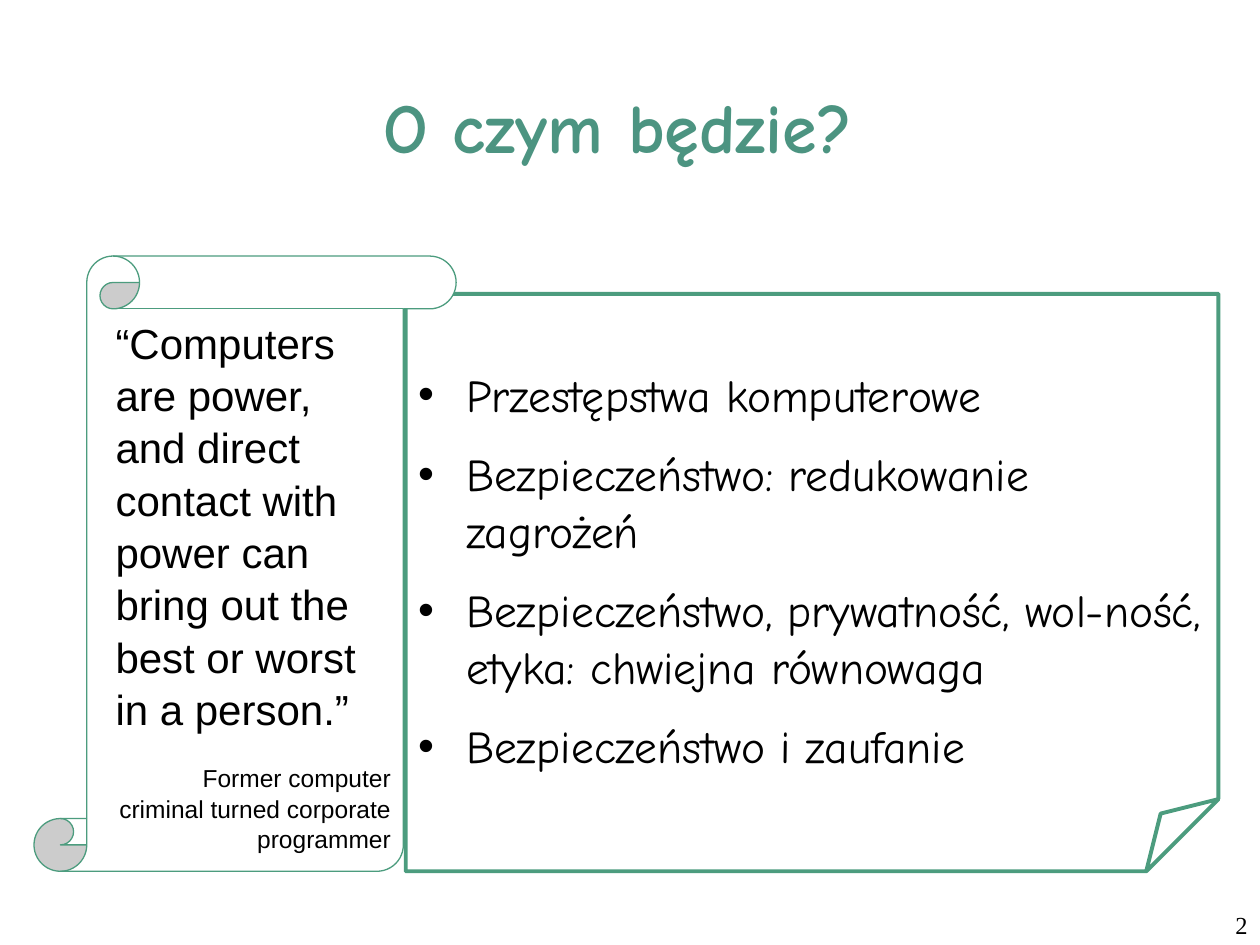
from typing import NamedTuple, Optional

from lxml.etree import SubElement
from pptx import Presentation
from pptx.dml.color import RGBColor
from pptx.enum.shapes import MSO_SHAPE as Shape
from pptx.enum.text import MSO_ANCHOR as Anchor, PP_ALIGN as Align
from pptx.oxml.ns import qn
from pptx.util import Emu, Inches, Pt

WIDTH, HEIGHT = Inches(10), Inches(7.5)
GREEN, TITLE_GREEN, BLACK, WHITE = "4C9C7E", "4C9481", "000000", "FFFFFF"


class Area(NamedTuple):
    left: float
    top: float
    width: float
    height: float

    def box(self) -> list[Emu]:
        return [Emu(round(share * side)) for share, side in zip(self, (WIDTH, HEIGHT) * 2)]


class Panel(NamedTuple):
    kind: Shape
    area: Area
    line_width: float
    fill: Optional[str] = None
    top_inset: float = 0.05


TITLE = Area(0.075, 0.044, 0.85, 0.177)
PAGE_NUMBER = Area(0.792, 0.956, 0.208, 0.044)
TOPICS_PANEL = Panel(Shape.FOLDED_CORNER, Area(0.322, 0.311, 0.645, 0.611), 2.25, top_inset=0.56)
QUOTE_PANEL = Panel(Shape.VERTICAL_SCROLL, Area(0.027, 0.271, 0.335, 0.651), 0.75, WHITE)
TOPICS = (
    "Przestępstwa komputerowe",
    "Bezpieczeństwo: redukowanie zagrożeń",
    "Bezpieczeństwo, prywatność, wol-ność, etyka: chwiejna równowaga",
    "Bezpieczeństwo i zaufanie",
)


def color(value: str) -> RGBColor:
    return RGBColor.from_string(value)


def prepare_frame(shape, anchor=Anchor.TOP, top_inset=0.05):
    frame = shape.text_frame
    frame.word_wrap = True
    frame.vertical_anchor = anchor
    frame.margin_left = frame.margin_right = Inches(0.1)
    frame.margin_top, frame.margin_bottom = Inches(top_inset), Inches(0.05)
    return frame


def set_curl(shape, share: float) -> None:
    geometry = shape._element.spPr.find(qn("a:prstGeom"))
    guides = geometry.get_or_add_avLst()
    for guide in list(guides):
        guides.remove(guide)
    SubElement(guides, qn("a:gd"), name="adj", fmla=f"val {round(share * 100000)}")


def add_panel(slide, panel: Panel):
    shape = slide.shapes.add_shape(panel.kind, *panel.area.box())
    set_curl(shape, 0.125)
    shape.shadow.inherit = False
    if panel.fill:
        shape.fill.solid()
        shape.fill.fore_color.rgb = color(panel.fill)
    else:
        shape.fill.background()
    shape.line.color.rgb = color(GREEN)
    shape.line.width = Pt(panel.line_width)
    return prepare_frame(shape, top_inset=panel.top_inset)


def add_text(frame, text: str, *, font: str, size: float, ink: str = BLACK, bold: bool = False,
             align=Align.LEFT, indent: float = 0, bullet: str = "",
             before: float = 0, after: float = 0, spacing: float = 1) -> None:
    paragraph = frame.paragraphs[0]
    if paragraph.runs:
        paragraph = frame.add_paragraph()
        paragraph.space_before = Pt(before)
    paragraph.alignment = align
    paragraph.line_spacing = spacing
    paragraph.space_after = Pt(after)
    properties = paragraph._p.get_or_add_pPr()
    properties.set("marL", str(Inches(indent)))
    properties.set("indent", str(Inches(-indent if bullet else 0)))
    if bullet:
        bullet_color = SubElement(properties, qn("a:buClr"))
        SubElement(bullet_color, qn("a:srgbClr"), val=BLACK)
        SubElement(properties, qn("a:buFont"), typeface="Arial")
        SubElement(properties, qn("a:buChar"), char=bullet)
    run = paragraph.add_run()
    run.text = text
    run.font.name, run.font.size, run.font.bold = font, Pt(size), bold
    run.font.color.rgb = color(ink)


def main() -> None:
    presentation = Presentation()
    presentation.slide_width, presentation.slide_height = WIDTH, HEIGHT
    slide = presentation.slides.add_slide(presentation.slide_layouts[6])

    title = prepare_frame(slide.shapes.add_textbox(*TITLE.box()), Anchor.MIDDLE)
    add_text(title, "O czym będzie? ", font="Comic Neue", size=40, ink=TITLE_GREEN,
             bold=True, align=Align.CENTER)

    topics = add_panel(slide, TOPICS_PANEL)
    for topic in TOPICS:
        add_text(topics, topic, font="Comic Neue", size=26, indent=0.38, bullet="•",
                 before=6.5, after=6.5, spacing=1.04)

    quote = add_panel(slide, QUOTE_PANEL)
    add_text(quote, "“Computers are power, and direct contact with power can bring out "
             "the best or worst in a person.”", font="Arial", size=24, indent=0.13, spacing=1.04)
    add_text(quote, "Former computer criminal turned corporate programmer", font="Arial",
             size=14, align=Align.RIGHT, indent=0.13, before=16, spacing=1.04)

    number = prepare_frame(slide.shapes.add_textbox(*PAGE_NUMBER.box()))
    add_text(number, "2", font="Times New Roman", size=14, align=Align.RIGHT, indent=0.24)

    presentation.save("out.pptx")


if __name__ == "__main__":
    main()
